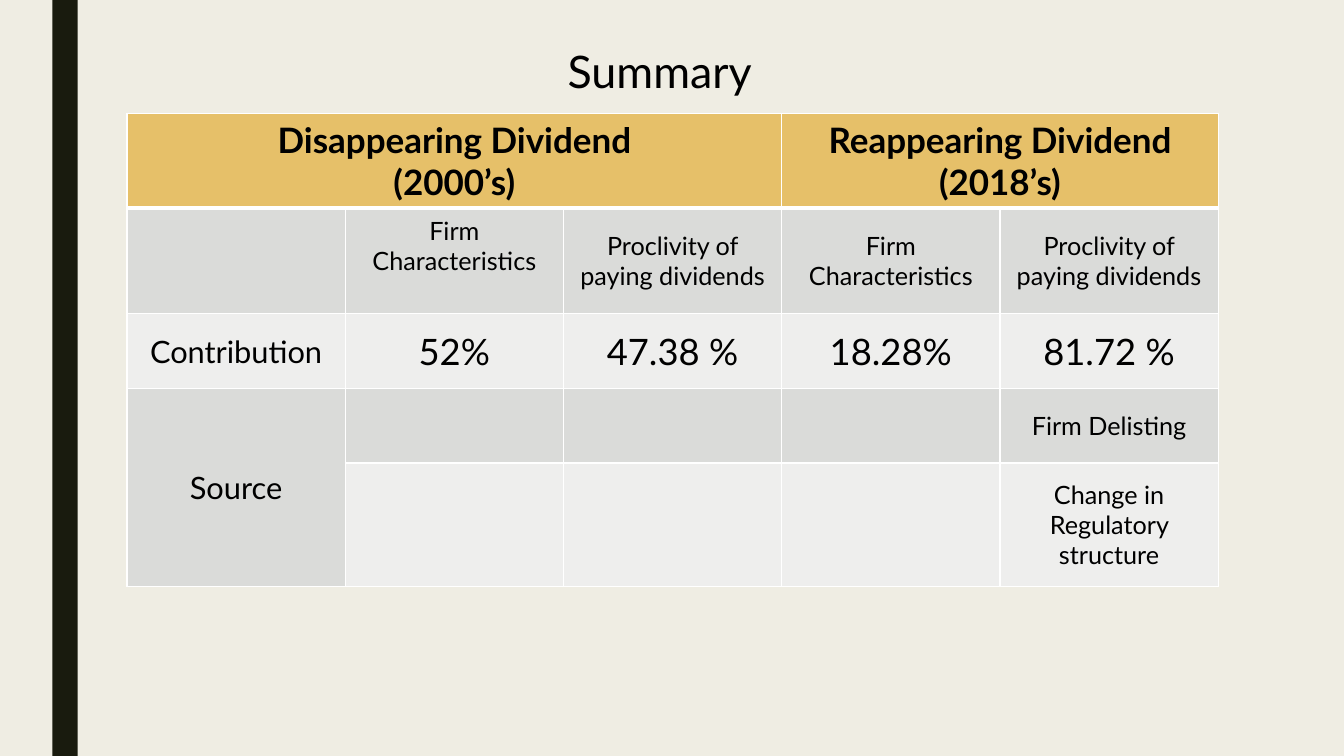
from lxml import etree
from pptx import Presentation
from pptx import util as u
from pptx.dml.color import RGBColor
from pptx.enum import shapes, text
from pptx.oxml import ns

CREAM = RGBColor(0xEF, 0xED, 0xE3)
DARK = RGBColor(0x19, 0x1B, 0x0E)
GOLD = RGBColor(0xE6, 0xC0, 0x69)
GREY = RGBColor(0xDA, 0xDB, 0xD9)
PALE = RGBColor(0xEE, 0xEE, 0xED)
BLACK = RGBColor(0, 0, 0)
WHITE = RGBColor(0xFF, 0xFF, 0xFF)


class SummarySlide:
    font = "Lato"

    def __init__(self, deck):
        self.slide = deck.slides.add_slide(deck.slide_layouts[5])
        background = self.slide.background.fill
        background.solid()
        background.fore_color.rgb = CREAM

    def add_words(self, paragraph, words, size, align, bold=False):
        paragraph.alignment = align
        run = paragraph.add_run()
        run.text = words
        run.font.name = self.font
        run.font.size = u.Pt(size)
        run.font.bold = bold
        run.font.color.rgb = BLACK

    def title(self, words, left, top, width, height):
        heading = self.slide.shapes.title
        heading.left, heading.top = u.Cm(left), u.Cm(top)
        heading.width, heading.height = u.Cm(width), u.Cm(height)
        frame = heading.text_frame
        frame.word_wrap = True
        frame.auto_size = text.MSO_AUTO_SIZE.NONE
        frame.vertical_anchor = text.MSO_ANCHOR.BOTTOM
        self.add_words(frame.paragraphs[0], words, 32, text.PP_ALIGN.LEFT)

    def bar(self, left, top, width, height):
        stripe = self.slide.shapes.add_shape(
            shapes.MSO_SHAPE.RECTANGLE, u.Cm(left), u.Cm(top), u.Cm(width), u.Cm(height))
        stripe.shadow.inherit = False
        stripe.fill.solid()
        stripe.fill.fore_color.rgb = DARK
        stripe.line.fill.background()

    def table(self, left, top, column_width, row_heights, columns):
        grid = self.slide.shapes.add_table(
            len(row_heights), columns, u.Cm(left), u.Cm(top),
            u.Cm(column_width * columns), u.Cm(sum(row_heights))).table
        for column in grid.columns:
            column.width = u.Cm(column_width)
        for row, height in zip(grid.rows, row_heights):
            row.height = u.Cm(height)
        return grid

    def border(self, cell, side, points):
        line = etree.SubElement(
            cell._tc.get_or_add_tcPr(), ns.qn("a:ln" + side), w=str(u.Pt(points)))
        fill = etree.SubElement(line, ns.qn("a:solidFill"))
        etree.SubElement(fill, ns.qn("a:srgbClr"), val=str(WHITE))

    def cell(self, cell, lines, size, color, header):
        for side in "LRTB":
            self.border(cell, side, 3 if header and side == "B" else 1)
        cell.fill.solid()
        cell.fill.fore_color.rgb = color
        cell.vertical_anchor = text.MSO_ANCHOR.MIDDLE
        side_inset, end_inset = (0.25, 0.13) if header else (0.33, 0.18)
        cell.margin_left = cell.margin_right = u.Cm(side_inset)
        cell.margin_top = cell.margin_bottom = u.Cm(end_inset)
        frame = cell.text_frame
        for index, words in enumerate(lines):
            paragraph = frame.add_paragraph() if index else frame.paragraphs[0]
            self.add_words(paragraph, words, size, text.PP_ALIGN.CENTER, header)


def main():
    deck = Presentation()
    deck.slide_width, deck.slide_height = u.Cm(33.87), u.Cm(19.05)
    summary = SummarySlide(deck)
    summary.bar(1.32, 0, 0.64, 19.05)
    summary.title("Summary", 14.05, 0.79, 6.5, 1.8)

    factors = ["Firm Characteristics", "Proclivity of paying dividends"]
    rows = [
        (GOLD, 25, ["Disappearing Dividend\n(2000’s)", "", "", "Reappearing Dividend\n(2018’s)", ""]),
        (GREY, 18, ["", *factors, *factors]),
        (PALE, 26, ["Contribution", "52%", "47.38 %", "18.28%", "81.72 %"]),
        (GREY, 18, ["Source", "", "", "", "Firm Delisting"]),
        (PALE, 18, ["", "", "", "", "Change in Regulatory structure"]),
    ]
    label_size = 22
    dividends = summary.table(3.2, 2.87, 5.5, [2.34, 2.67, 1.88, 1.88, 3.12], 5)
    for first, last in [((0, 0), (0, 2)), ((0, 3), (0, 4)), ((3, 0), (4, 0))]:
        dividends.cell(*first).merge(dividends.cell(*last))
    for row, (color, size, entries) in enumerate(rows):
        for column, entry in enumerate(entries):
            header = row == 0
            entry_size = label_size if column == 0 and not header else size
            lines = entry.split("\n") if entry else []
            summary.cell(dividends.cell(row, column), lines, entry_size, color, header)
    dividends.cell(1, 1).margin_bottom = u.Cm(0.93)

    deck.save("out.pptx")


if __name__ == "__main__":
    main()
